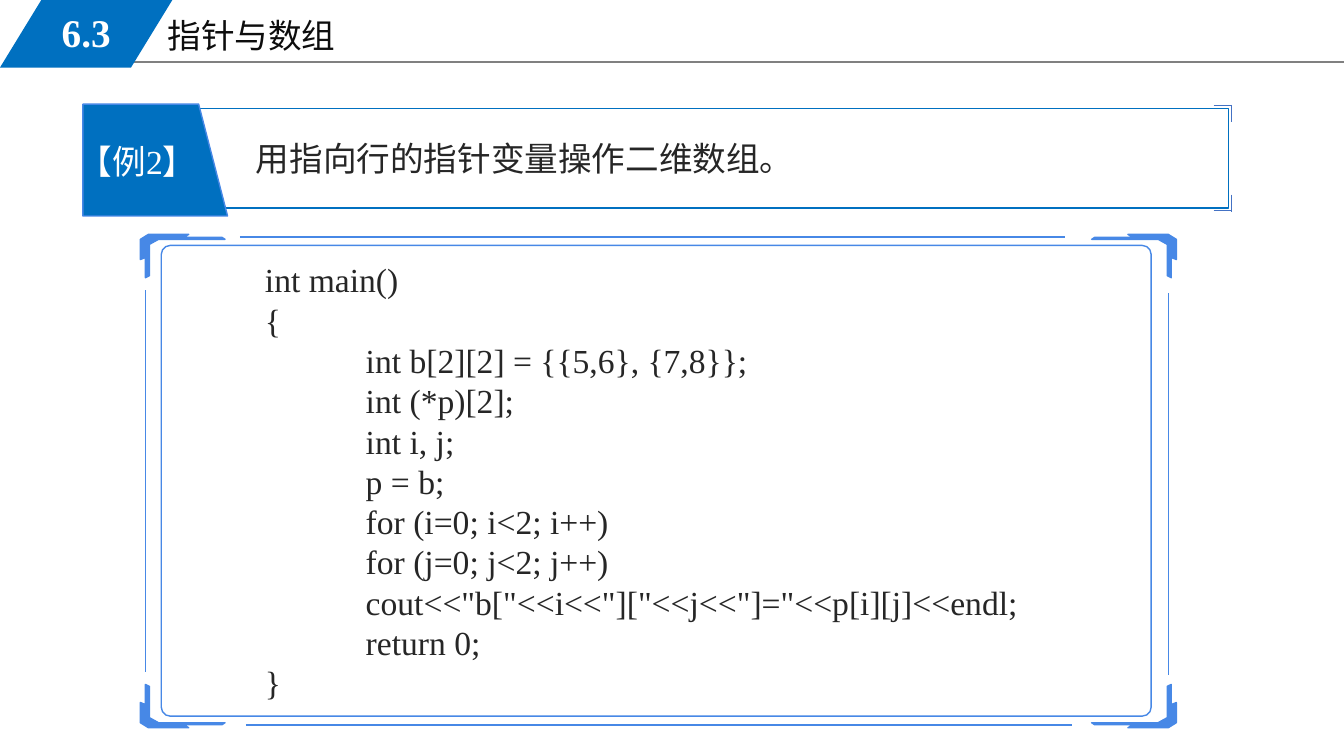
from dataclasses import dataclass
from typing import NamedTuple, Optional

from lxml.etree import SubElement
from pptx import Presentation
from pptx.dml.color import RGBColor
from pptx.enum.shapes import MSO_CONNECTOR as Connector
from pptx.enum.shapes import MSO_SHAPE as Preset
from pptx.enum.text import MSO_ANCHOR as Anchor
from pptx.enum.text import PP_ALIGN as Align
from pptx.oxml.ns import qn
from pptx.util import Inches, Pt

GRID_STEP = Inches(0.1)
COLUMNS, ROWS = 133.33, 75
TAB_COLUMNS = 10


@dataclass(frozen=True)
class Theme:
    font: str = "Times New Roman"
    banner: str = "0070C0"
    frame: str = "4788E6"
    bracket: str = "4472C4"
    divider: str = "808080"
    title: str = "0D0D0D"
    body: str = "262626"
    inverse: str = "FFFFFF"
    body_size: float = 24
    number_size: float = 28
    code_leading: float = 28.8
    thin: float = 0.75
    line: float = 1


THEME = Theme()


class Area(NamedTuple):
    column: float
    row: float
    width: float
    height: float


@dataclass(frozen=True)
class Panel:
    preset: Preset
    area: Area
    fill: Optional[str] = None
    line: Optional[str] = None
    adjust: Optional[float] = None
    rotation: float = 0


@dataclass(frozen=True)
class Rule:
    start: tuple[float, float]
    end: tuple[float, float]
    color: str
    weight: float = THEME.line


@dataclass(frozen=True)
class Corner:
    column: float
    row: float
    toward_x: int
    toward_y: int


CODE = """int main()
{
\tint b[2][2] = {{5,6}, {7,8}};
\tint (*p)[2];
\tint i, j;
\tp = b;
\tfor (i=0; i<2; i++)
\tfor (j=0; j<2; j++)
\tcout<<"b["<<i<<"]["<<j<<"]="<<p[i][j]<<endl;
\treturn 0;
}"""

HEADER_RULE = Rule((11.3, 6.15), (COLUMNS, 6.15), THEME.divider, THEME.thin)
NUMBER_BANNER = Panel(Preset.PARALLELOGRAM, Area(0, 0, 17.1, 6.7), fill=THEME.banner, adjust=0.612)
CODE_FRAME = Panel(Preset.ROUNDED_RECTANGLE, Area(16, 24.35, 98.2, 46.7), line=THEME.frame, adjust=0.019)
EXAMPLE_PANELS = (
    Panel(Preset.RECTANGLE, Area(8.2, 10.75, 113.7, 9.9), line=THEME.banner),
    Panel(Preset.FLOWCHART_MANUAL_INPUT, Area(9.85, 8.7, 11.1, 14.35),
          fill=THEME.banner, line=THEME.frame, rotation=90),
)
CORNER_OUTLINE = (
    (0.8, 0), (4.8, 0), (4.3, 0.3), (8.1, 0.3), (8.4, 0.5), (1.8, 0.5), (0.9, 1),
    (0.9, 4.1), (0.5, 4.3), (0.5, 2.3), (0, 2.5), (0, 0.5),
)
FRAME_CORNERS = [
    Corner(column, row, toward_x, toward_y)
    for column, toward_x in ((13.93, 1), (116.7, -1))
    for row, toward_y in ((23.25, 1), (72.2, -1))
]
FRAME_RULES = [
    Rule((column, row), (column + 81.9, row), THEME.frame)
    for column, row in ((23.8, 23.5), (24.4, 71.93))
] + [
    Rule((column, row), (column, row + 37.9), THEME.frame)
    for column, row in ((14.44, 28.8), (115.9, 29.1))
]
BRACKET_RULES = [
    Rule((120.4, row), (122.2, row), THEME.bracket) for row in (10.45, 20.9)
] + [
    Rule((122.15, row), (122.15, row + 1.75), THEME.bracket) for row in (10.4, 19.3)
]


def grid(units: float) -> int:
    return round(units * GRID_STEP)


def paint(shape, fill: Optional[str], line: Optional[str]) -> None:
    shape.shadow.inherit = False
    if fill:
        shape.fill.solid()
        shape.fill.fore_color.rgb = RGBColor.from_string(fill)
    else:
        shape.fill.background()
    if line:
        shape.line.color.rgb = RGBColor.from_string(line)
        shape.line.width = Pt(THEME.line)
    else:
        shape.line.fill.background()


def draw_panel(slide, panel: Panel) -> None:
    shape = slide.shapes.add_shape(panel.preset, *map(grid, panel.area))
    shape.rotation = panel.rotation
    if panel.adjust is not None:
        shape.adjustments[0] = panel.adjust
    paint(shape, panel.fill, panel.line)


def draw_rule(slide, rule: Rule) -> None:
    connector = slide.shapes.add_connector(Connector.STRAIGHT, *map(grid, rule.start + rule.end))
    connector.line.color.rgb = RGBColor.from_string(rule.color)
    connector.line.width = Pt(rule.weight)
    SubElement(connector._element.spPr, qn("a:effectLst"))


def draw_corner(slide, corner: Corner) -> None:
    points = [
        (grid(corner.column + corner.toward_x * x), grid(corner.row + corner.toward_y * y))
        for x, y in CORNER_OUTLINE
    ]
    outline = slide.shapes.build_freeform(*points[0])
    outline.add_line_segments(points[1:], close=True)
    paint(outline.convert_to_shape(), THEME.frame, THEME.frame)


def write(slide, text: str, area: Area, *, color: str = THEME.body,
          size: float = THEME.body_size, bold: bool = False, align: Align = Align.LEFT,
          anchor: Anchor = Anchor.TOP, leading: Optional[float] = None) -> None:
    frame = slide.shapes.add_textbox(*map(grid, area)).text_frame
    frame.word_wrap = True
    frame.vertical_anchor = anchor
    for index, line in enumerate(text.split("\n")):
        paragraph = frame.add_paragraph() if index else frame.paragraphs[0]
        paragraph.alignment = align
        if leading:
            paragraph.line_spacing = Pt(leading)
        if line.startswith("\t"):
            properties = paragraph._p.get_or_add_pPr()
            stops = SubElement(properties, qn("a:tabLst"))
            SubElement(stops, qn("a:tab"), pos=str(grid(TAB_COLUMNS)), algn="l")
        run = paragraph.add_run()
        run.text = line
        run.font.name = THEME.font
        run.font.size = Pt(size)
        run.font.bold = bold
        run.font.color.rgb = RGBColor.from_string(color)


def draw_header(slide) -> None:
    draw_rule(slide, HEADER_RULE)
    write(slide, "指针与数组", Area(15.63, 0.95, 56.7, 5.1), color=THEME.title)
    draw_panel(slide, NUMBER_BANNER)
    write(slide, "6.3", Area(2.5, 0.25, 12.1, 5.8), color=THEME.inverse,
          size=THEME.number_size, bold=True, align=Align.CENTER, anchor=Anchor.MIDDLE)


def draw_code(slide) -> None:
    write(slide, CODE, Area(25.3, 25.22, 78.9, 45.4), leading=THEME.code_leading)
    draw_panel(slide, CODE_FRAME)
    for corner in FRAME_CORNERS:
        draw_corner(slide, corner)
    for rule in FRAME_RULES:
        draw_rule(slide, rule)


def draw_example(slide) -> None:
    for panel in EXAMPLE_PANELS:
        draw_panel(slide, panel)
    write(slide, "【例2】", Area(6.85, 13.53, 16.1, 9.1), color=THEME.inverse)
    write(slide, "用指向行的指针变量操作二维数组。", Area(24.4, 13.2, 98.6, 5))
    for rule in BRACKET_RULES:
        draw_rule(slide, rule)


def main() -> None:
    deck = Presentation()
    deck.slide_width, deck.slide_height = grid(COLUMNS), grid(ROWS)
    slide = deck.slides.add_slide(deck.slide_layouts[6])
    draw_header(slide)
    draw_code(slide)
    draw_example(slide)
    deck.save("out.pptx")


if __name__ == "__main__":
    main()
